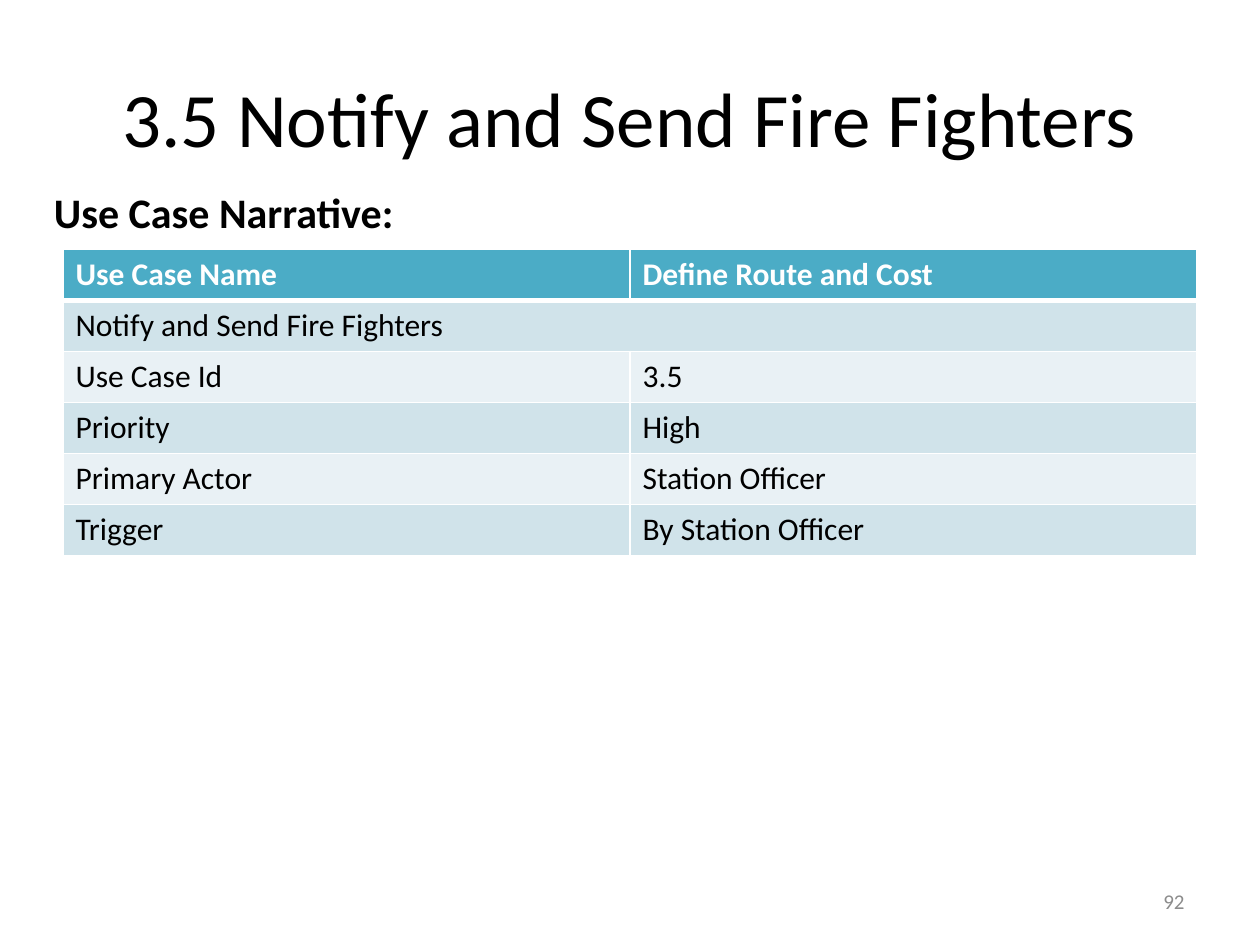
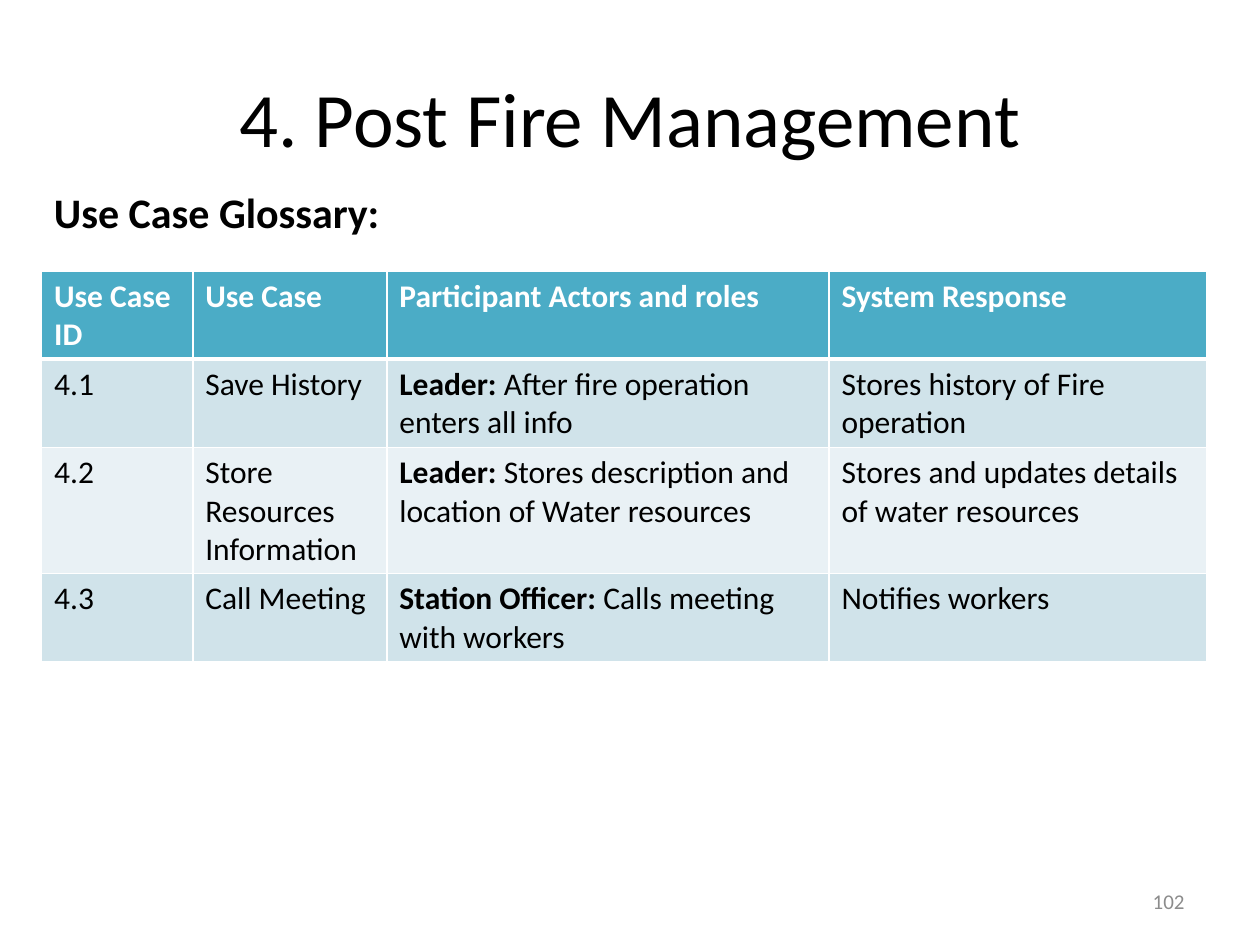
"""Build two use case slides, each with a heading, a table and a page number."""
import lxml.etree
import pptx
import pptx.dml.color
import pptx.enum.text
import pptx.oxml.ns
import pptx.util

ALIGN = pptx.enum.text.PP_ALIGN
ANCHOR = pptx.enum.text.MSO_ANCHOR
HEADER_FILL, BAND_FILLS = "4BACC6", ("E9F1F5", "D0E3EA")
BLACK, WHITE, GREY = "000000", "FFFFFF", "8C8C8C"

deck = pptx.Presentation()
deck.slide_width, deck.slide_height = pptx.util.Inches(10), pptx.util.Inches(7.5)
column, row = deck.slide_width / 100, deck.slide_height / 75


def rgb(value):
    return pptx.dml.color.RGBColor.from_string(value)


def add_span(para, text, color, **formats):
    span = para.add_run()
    span.text = text
    span.font.color.rgb = rgb(color)
    for name, value in {"name": "Calibri", **formats}.items():
        setattr(span.font, name, value)


pages = [
    {
        "title": "3.5 Notify and Send Fire Fighters",
        "heading": "Use Case Narrative:",
        "number": "92",
        "corner": (5, 19.8),
        "widths": (45, 45),
        "merged_rows": [1],
        "rows": [
            ("Use Case Name", "Define Route and Cost"),
            ("Notify and Send Fire Fighters", ""),
            ("Use Case Id", "3.5"),
            ("Priority", "High"),
            ("Primary Actor", "Station Officer"),
            ("Trigger", "By Station Officer"),
        ],
    },
    {
        "title": "4. Post Fire Management",
        "heading": "Use Case Glossary:",
        "number": "102",
        "corner": (3.3, 21.5),
        "widths": (12, 15.4, 35.1, 30),
        "merged_rows": [],
        "rows": [
            ("Use Case ID", "Use Case", "Participant Actors and roles", "System Response"),
            ("4.1", "Save History", "Leader: After fire operation enters all info",
             "Stores history of Fire operation"),
            ("4.2", "Store Resources Information",
             "Leader: Stores description and location of Water resources",
             "Stores and updates details of water resources"),
            ("4.3", "Call Meeting", "Station Officer: Calls meeting with workers",
             "Notifies workers"),
        ],
    },
]

text_styles = {
    "title": ((5, 3, 90, 12.5), ALIGN.CENTER, ANCHOR.MIDDLE, 44, BLACK, False),
    "number": ((71.7, 69.5, 23.3, 4), ALIGN.RIGHT, ANCHOR.MIDDLE, 12, GREY, False),
    "heading": ((3.3, 14.3, 52.5, 5), ALIGN.LEFT, ANCHOR.TOP, 24, BLACK, True),
}

for page in pages:
    slide = deck.slides.add_slide(deck.slide_layouts[6])

    for key, (area, align, anchor, size, color, bold) in text_styles.items():
        left, top, width, height = area
        box = slide.shapes.add_textbox(
            int(left * column), int(top * row), int(width * column), int(height * row))
        frame = box.text_frame
        frame.word_wrap = True
        frame.vertical_anchor = anchor
        para = frame.paragraphs[0]
        para.alignment = align
        add_span(para, page[key], color, size=pptx.util.Pt(size), bold=bold)

    left, top = page["corner"]
    records, widths = page["rows"], page["widths"]
    table = slide.shapes.add_table(
        len(records), len(widths), int(left * column), int(top * row),
        int(sum(widths) * column), int(4.05 * row * len(records))).table
    for table_column, width in zip(table.columns, widths):
        table_column.width = int(width * column)

    for row_index, record in enumerate(records):
        is_header = row_index == 0
        for column_index, text in enumerate(record):
            cell = table.cell(row_index, column_index)
            properties = cell._tc.get_or_add_tcPr()
            edges = {"L": 1, "R": 1, "T": 3 if row_index == 1 else 1, "B": 3 if is_header else 1}
            for edge, points in edges.items():
                line = lxml.etree.SubElement(
                    properties, pptx.oxml.ns.qn(f"a:ln{edge}"), w=str(pptx.util.Pt(points)))
                paint = lxml.etree.SubElement(line, pptx.oxml.ns.qn("a:solidFill"))
                lxml.etree.SubElement(paint, pptx.oxml.ns.qn("a:srgbClr"), val=WHITE)
            cell.fill.solid()
            cell.fill.fore_color.rgb = rgb(HEADER_FILL if is_header else BAND_FILLS[row_index % 2])

            actor, colon, detail = text.rpartition(": ")
            for part, bold in ((actor + colon, True), (detail, is_header)):
                if part:
                    add_span(cell.text_frame.paragraphs[0], part,
                             WHITE if is_header else BLACK, size=pptx.util.Pt(18), bold=bold)

    for row_index in page["merged_rows"]:
        table.cell(row_index, 0).merge(table.cell(row_index, len(widths) - 1))

deck.save("out.pptx")
